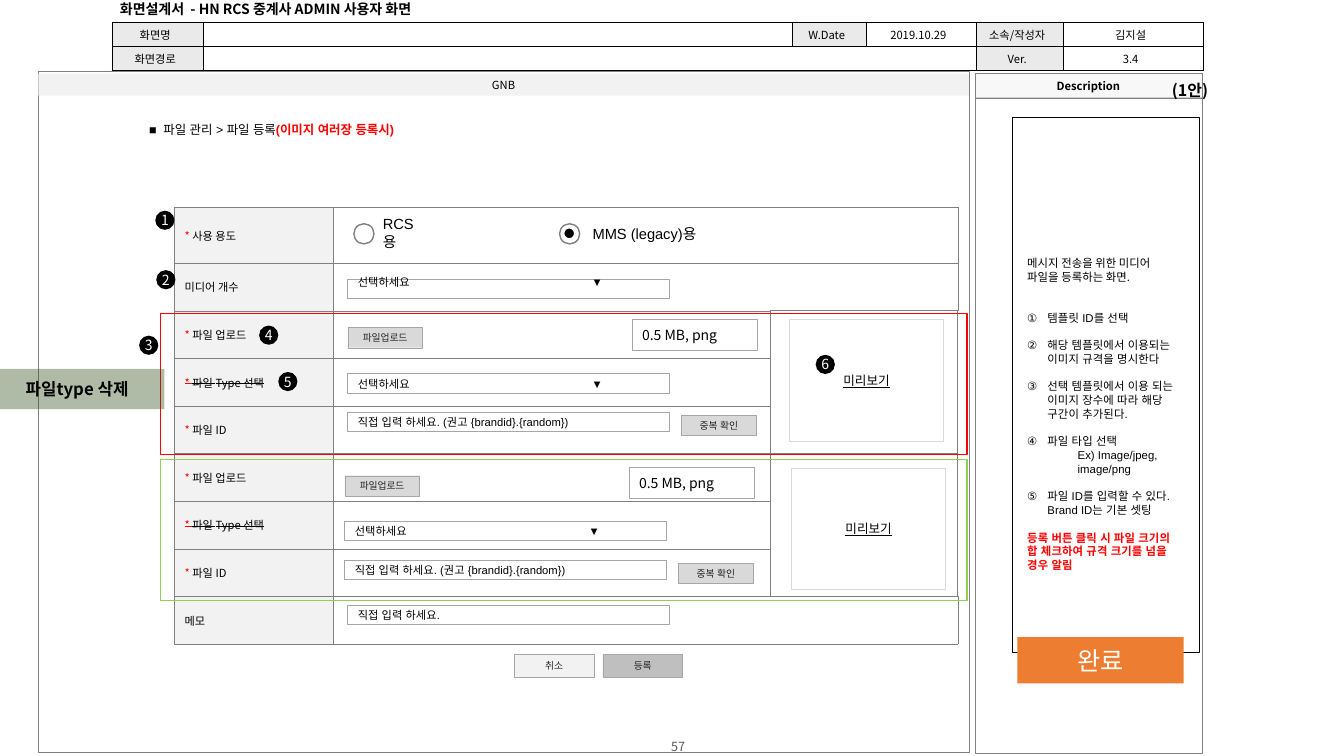
"""Build the file registration screen specification slide."""
from lxml import etree
from pptx import Presentation
from pptx.dml.color import RGBColor
from pptx.enum.shapes import MSO_SHAPE
from pptx.enum.text import MSO_ANCHOR, PP_ALIGN
from pptx.oxml.ns import qn
from pptx.util import Pt

RECTANGLE, OVAL = MSO_SHAPE.RECTANGLE, MSO_SHAPE.OVAL
TOP, MIDDLE = MSO_ANCHOR.TOP, MSO_ANCHOR.MIDDLE
LEFT, CENTER, RIGHT = PP_ALIGN.LEFT, PP_ALIGN.CENTER, PP_ALIGN.RIGHT
PX = 9144
NOTO, ARIAL = "Noto Sans CJK KR", "Arial"
GRAY, BLACK, WHITE, RED = "808080", "000000", "FFFFFF", "FF0000"
color_of = RGBColor.from_string


def write_text(paragraph, text, size=8, font=NOTO, color=BLACK, bold=False,
               underline=False, strike=False, align=LEFT):
    paragraph.alignment = align
    if not text:
        etree.SubElement(paragraph._p, qn("a:endParaRPr"), sz=str(size * 100))
        return
    run = paragraph.add_run()
    run.text = text
    run.font.size = Pt(size)
    run.font.name = font
    run.font.bold = bold
    run.font.underline = underline
    run.font.color.rgb = color_of(color)
    properties = run._r.get_or_add_rPr()
    etree.SubElement(properties, qn("a:ea"), typeface=font)
    if strike:
        properties.set("strike", "sngStrike")


def add_box(left, top, width, height, text="", kind=RECTANGLE, fill=None, line=None,
            line_width=0.25, anchor=MIDDLE, insets=(10, 5, 10, 5), **text_format):
    place = [value * PX for value in (left, top, width, height)]
    if kind is None:
        shape = slide.shapes.add_textbox(*place)
    else:
        shape = slide.shapes.add_shape(kind, *place)
        shape.shadow.inherit = False
        if fill:
            shape.fill.solid()
            shape.fill.fore_color.rgb = color_of(fill)
        else:
            shape.fill.background()
        if line:
            shape.line.color.rgb = color_of(line)
            shape.line.width = Pt(line_width)
        else:
            shape.line.fill.background()
    frame = shape.text_frame
    frame.word_wrap = True
    frame.vertical_anchor = anchor
    (frame.margin_left, frame.margin_top,
     frame.margin_right, frame.margin_bottom) = [value * PX for value in insets]
    if text:
        write_text(frame.paragraphs[0], text, **text_format)
    return shape


presentation = Presentation()
presentation.slide_width = 1333 * PX
presentation.slide_height = 750 * PX
slide = presentation.slides.add_slide(presentation.slide_layouts[6])

add_box(517, 734, 311, 13, "57", kind=None, size=9, color="595959", align=CENTER)
add_box(38, 71, 923, 675, line=GRAY)

header_rows = [["화면명", "", "W.Date", "2019.10.29", "소속/작성자", "김지설"],
               ["화면경로", "", "", "", "Ver.", "3.4"]]
form_labels = ["* 사용 용도", "미디어 개수", *["* 파일 업로드", "* 파일 Type 선택", "* 파일 ID"] * 2, "메모"]
form_rows = [[label, "", ""] for label in form_labels]
tables = [
    (header_rows, (111, 22), [91, 584, 73, 109, 87, 138], [24 * PX] * 2,
     [(1, 1, 1, 3)], (0, 2, 4), "EAEAEA", BLACK, CENTER, (4, 4, 9, 4)),
    (form_rows, (173, 206), [157, 434, 186], [55 * PX] + [378 * PX // 8] * 8,
     [(0, 1, 0, 2), (1, 1, 1, 2), (2, 2, 4, 2), (5, 2, 7, 2), (8, 1, 8, 2)],
     (0,), "F2F2F2", GRAY, LEFT, (10, 5, 10, 5)),
]
for rows, corner, widths, heights, merges, label_columns, shade, border, align, margins in tables:
    table = slide.shapes.add_table(len(rows), len(widths), corner[0] * PX, corner[1] * PX,
                                   sum(widths) * PX, sum(heights)).table
    table.first_row = table.horz_banding = False
    for column, width in zip(table.columns, widths):
        column.width = width * PX
    for row, height in zip(table.rows, heights):
        row.height = height
    for first_row, first_column, last_row, last_column in merges:
        table.cell(first_row, first_column).merge(table.cell(last_row, last_column))
    for row_index, row in enumerate(rows):
        for column_index, text in enumerate(row):
            cell = table.cell(row_index, column_index)
            cell.vertical_anchor = MIDDLE
            (cell.margin_left, cell.margin_top,
             cell.margin_right, cell.margin_bottom) = [value * PX for value in margins]
            preview = rows is form_rows and column_index == 2 and 2 <= row_index < 8
            for side in ("lnL", "lnR", "lnT", "lnB"):
                edge = etree.SubElement(cell._tc.get_or_add_tcPr(), qn("a:" + side),
                                        w=str(Pt(0.5 if preview else 0.25)))
                solid = etree.SubElement(edge, qn("a:solidFill"))
                etree.SubElement(solid, qn("a:srgbClr"), val=border)
            if column_index in label_columns and not cell.is_spanned:
                cell.fill.solid()
                cell.fill.fore_color.rgb = color_of(shade)
            else:
                cell.fill.background()
            paragraph = cell.text_frame.paragraphs[0]
            strike = "Type" in text
            if text.startswith("* "):
                write_text(paragraph, "* ", color=RED, strike=strike)
            write_text(paragraph, text.removeprefix("* "), strike=strike, align=align)

add_box(110, -4, 347, 26, "화면설계서  - HN RCS 중계사 ADMIN 사용자 화면", kind=None,
        insets=(9, 4, 9, 4), size=10, bold=True)
add_box(967, 96, 225, 651, line=GRAY)
add_box(967, 73, 225, 24, "Description", fill="F8F8F8", line=GRAY, bold=True, align=CENTER)
add_box(38, 73, 923, 22, "GNB", fill="F2F2F2", align=CENTER)
add_box(1004, 116, 185, 531, line=BLACK)
breadcrumb = add_box(138, 116, 334, 25, "■  파일 관리 > 파일 등록", kind=None, anchor=TOP,
                     size=8.9, font=ARIAL)
write_text(breadcrumb.text_frame.paragraphs[0], "(이미지 여러장 등록시)", size=8.9,
           font=ARIAL, color=RED, bold=True)
add_box(825, 75, 383, 29, "(1안)", kind=None, anchor=TOP, size=11.4, bold=True, align=RIGHT)

description = add_box(1009, 249, 173, 338, kind=None, anchor=TOP).text_frame
description_lines = [
    ("메시지 전송을 위한 미디어 파일을 등록하는 화면.", "plain", 0),
    ("템플릿 ID를 선택", "numbered", 2),
    ("해당 템플릿에서 이용되는 이미지 규격을 명시한다", "numbered", 1),
    ("선택 템플릿에서 이용 되는 이미지 장수에 따라 해당 구간이 추가된다.", "numbered", 1),
    ("파일 타입 선택", "numbered", 1),
    ("Ex) Image/jpeg, image/png", "example", 0),
    ("파일 ID를 입력할 수 있다. Brand ID는 기본 셋팅", "numbered", 1),
    ("등록 버튼 클릭 시 파일 크기의 합 체크하여 규격 크기를 넘을 경우 알림", "warning", 1),
]
for index, (text, style, gap_lines) in enumerate(description_lines):
    paragraph = description.add_paragraph() if index else description.paragraphs[0]
    paragraph.line_spacing = Pt(9.8)
    paragraph.space_before = Pt(9.8 * gap_lines)
    properties = paragraph._p.get_or_add_pPr()
    if style == "numbered":
        properties.set("marL", str(20 * PX))
        properties.set("indent", str(-20 * PX))
        etree.SubElement(properties, qn("a:buAutoNum"), type="circleNumDbPlain")
    elif style == "example":
        paragraph.level = 1
        properties.set("marL", str(50 * PX))
        properties.set("indent", "0")
    warning = style == "warning"
    write_text(paragraph, text, size=8.1, font=ARIAL if index else NOTO,
               color=RED if warning else BLACK, bold=warning)

button = dict(line="A6A6A6", line_width=0.1, insets=(4, 0, 4, 0), size=7, font=ARIAL,
              color="262626", align=CENTER)
field = dict(fill=WHITE, line="A6A6A6", line_width=0.75, font=ARIAL)
add_box(510, 649, 79, 23, "취소", fill="F2F2F2", **button)
add_box(598, 649, 79, 23, "등록", fill="BFBFBF", **button)
add_box(345, 601, 319, 19, "직접 입력 하세요.", insets=(10, 0, 10, 0), **field)

for left, top, bottom_inset in [(345, 277, 14), (345, 371, 0), (342, 517, 0)]:
    dropdown = add_box(left, top, 319, 19, insets=(10, 0, 10, bottom_inset), **field)
    paragraph = dropdown.text_frame.paragraphs[0]
    tabs = etree.SubElement(paragraph._p.get_or_add_pPr(), qn("a:tabLst"))
    etree.SubElement(tabs, qn("a:tab"), pos=str(232 * PX), algn="l")
    write_text(paragraph, "선택하세요\t▼", font=ARIAL)

for left, top, preview_left, frame_top, frame_color in [
        (345, 317, 783, 311, RED), (342, 464, 785, 456, "92D050")]:
    add_box(left, top + 8, 74, 20, "파일업로드", fill="D9D9D9", **button)
    add_box(left, top + 92, 319, 19, "직접 입력 하세요. (권고 {brandid}.{random})",
            insets=(10, 0, 10, 0), **field)
    add_box(left + 331, top + 95, 74, 20, "중복 확인", fill="D9D9D9", **button)
    add_box(left + 282, top, 124, 31, "0.5 MB, png", fill=WHITE, line="A6A6A6",
            line_width=0.75, size=10)
    add_box(preview_left, top, 153, 121, "미리보기", fill=WHITE, line="D9D9D9", size=9,
            font=ARIAL, underline=True, align=CENTER)
    add_box(159, frame_top, 800, 140, line=frame_color, line_width=1)

for left in (351, 555):
    add_box(left, 222, 20, 20, kind=OVAL, fill=WHITE, line=GRAY, line_width=1)
add_box(559, 226, 11, 11, kind=OVAL, fill=BLACK, line=WHITE, line_width=1)
add_box(370, 221, 63, 20, "RCS용", kind=None, size=10.5, font=ARIAL)
add_box(578, 222, 158, 20, "MMS (legacy)용", kind=None, size=10.5, font=ARIAL)

badges = [(154, 209), (155, 268), (138, 333), (257, 323), (276, 369), (809, 352)]
for number, (left, top) in enumerate(badges, 1):
    add_box(left, top, 19, 19, str(number), kind=OVAL, fill=BLACK, insets=(0, 0, 0, 0),
            size=10, color=WHITE, align=CENTER)

removal_note = add_box(-10, 366, 173, 40, "파일type 삭제", fill="385723", size=12, bold=True,
                       align=CENTER)
note_color = removal_note._element.spPr.find(qn("a:solidFill")).find(qn("a:srgbClr"))
etree.SubElement(note_color, qn("a:alpha"), val="40000")
add_box(1009, 632, 165, 46, "완료", fill="ED7D31", size=18, color=WHITE, align=CENTER)

presentation.save("out.pptx")
